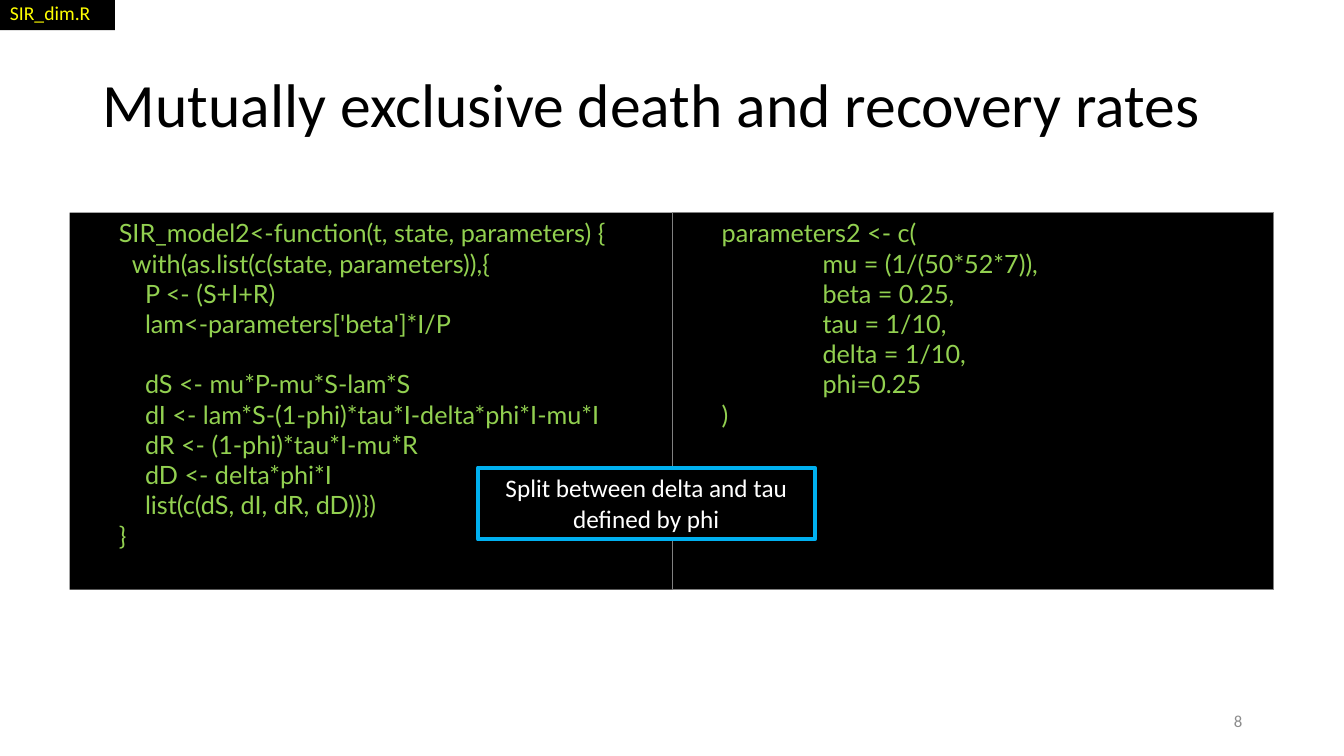
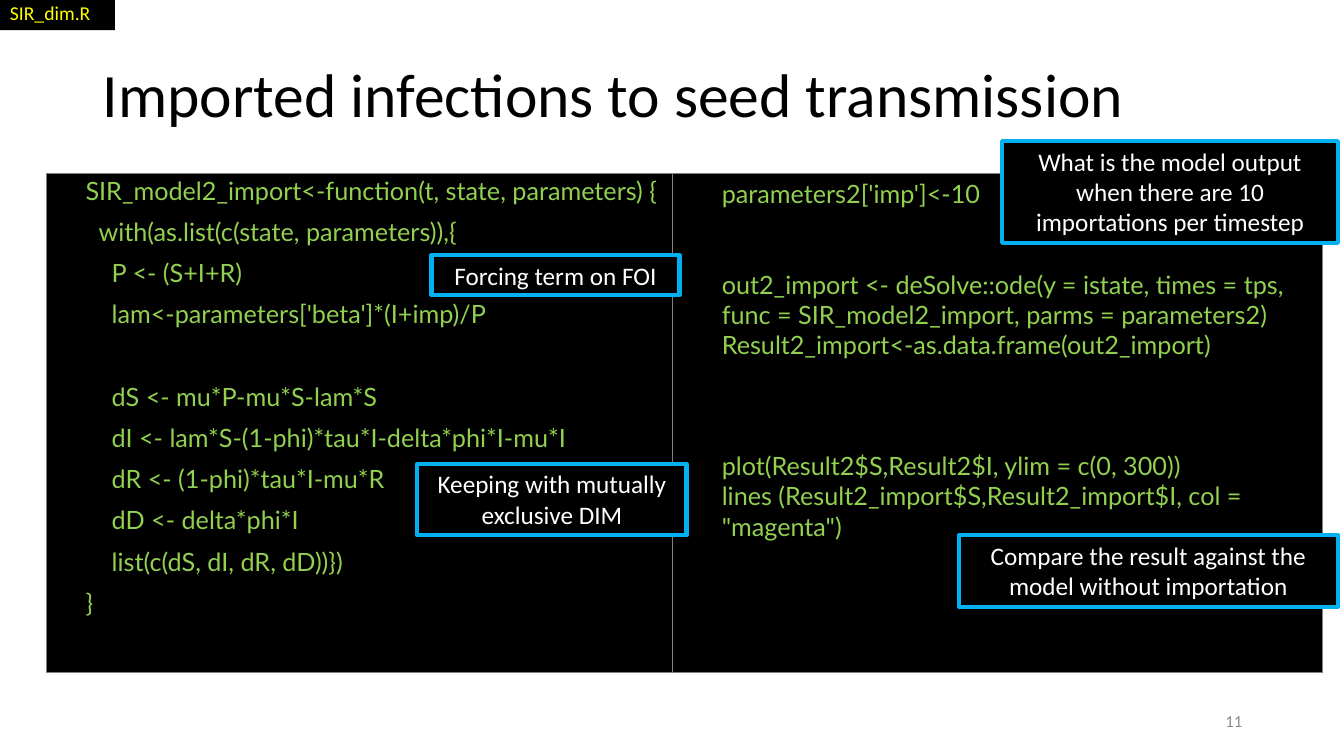
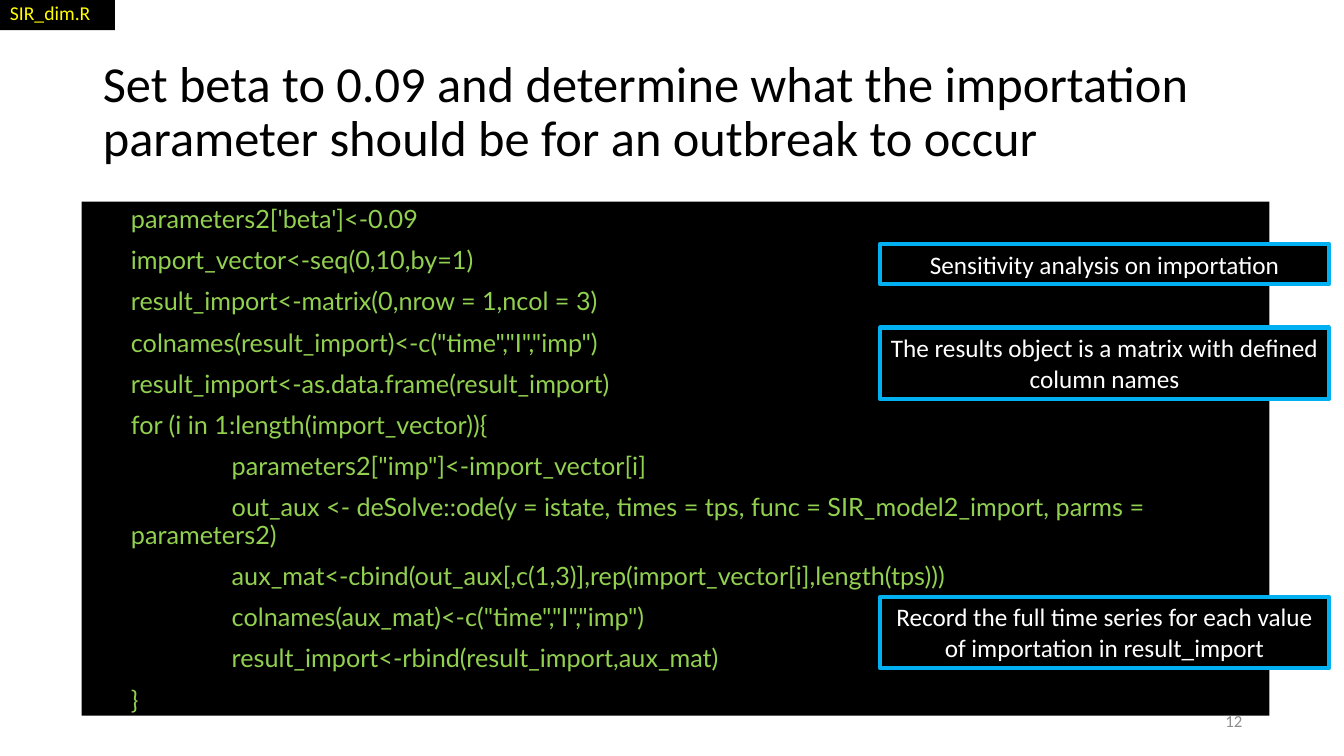
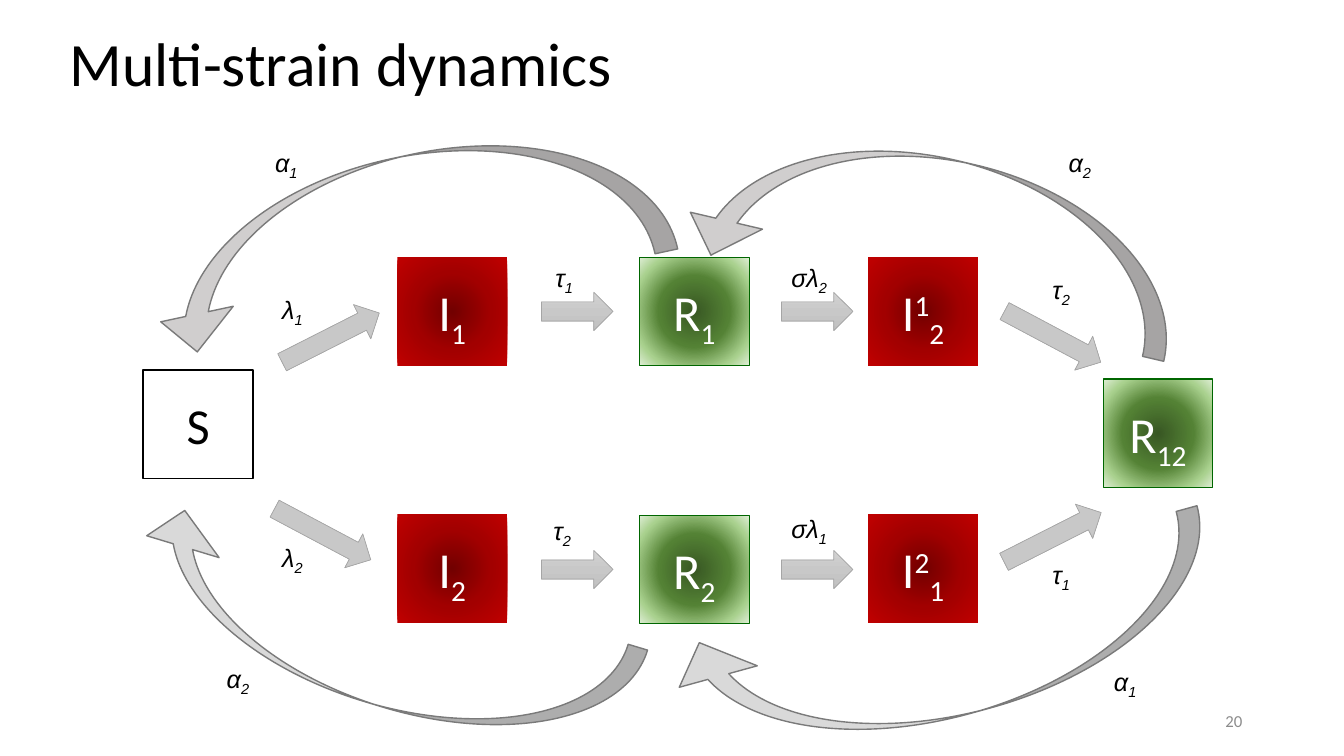
"""Build four slides on SIR model code and multi-strain dynamics."""
import pptx
import pptx.util
import pptx.dml.color
import pptx.enum.shapes
import pptx.enum.text
import pptx.oxml
import pptx.oxml.ns

Pt = pptx.util.Pt
KIND = pptx.enum.shapes.MSO_SHAPE
ALIGN = pptx.enum.text.PP_ALIGN
ANCHOR = pptx.enum.text.MSO_ANCHOR
FIT = pptx.enum.text.MSO_AUTO_SIZE
PX = 9144

HUES = {
    "black": "000000", "white": "FFFFFF", "code": "92D050", "tag": "FFFF00",
    "sky": "00B0F0", "rule": "808080", "page": "8C8C8C", "leaf": "006600",
    "steel": "A5A5A5", "bend": "7A7A7A", "low": "D9D9D9", "high": "D0CECE",
}
BLENDS = {
    "red": [(0, "720000"), (50, "A20000"), (100, "C00000")],
    "green": [(0, "385723"), (46, "548235"), (79, "A9D18E"), (100, "E2F0D9")],
    "grey": [(0, "D2D2D2"), (50, "C8C8C8"), (100, "C0C0C0")],
}
PATHS = {
    "red": '<a:path path="circle"><a:fillToRect l="50000" t="50000" r="50000" b="50000"/></a:path>',
    "grey": '<a:lin ang="5400000" scaled="0"/>',
}
PATHS["green"] = PATHS["red"]

CODE = {"font": {"name": "Lato", "size": Pt(18)}, "hue": "code", "left": 39, "pitch": 21.6}
LOOSE = CODE | {"para": {"line_spacing": 0.9}, "gap": 10, "pitch": 29.4}
TITLE = {"font": {"name": "Calibri", "size": Pt(44)}, "hue": "black",
         "para": {"line_spacing": 0.9, "alignment": ALIGN.LEFT},
         "frame": {"vertical_anchor": ANCHOR.MIDDLE}}
TAG = {"font": {"name": "Calibri", "size": Pt(14)}, "hue": "tag"}
NOTE = {"font": {"name": "Calibri", "size": Pt(18)}, "hue": "white",
        "para": {"alignment": ALIGN.CENTER}}
PAGE = {"font": {"name": "Calibri", "size": Pt(12)}, "hue": "page",
        "para": {"alignment": ALIGN.RIGHT}, "frame": {"vertical_anchor": ANCHOR.MIDDLE}}
NODE = {"font": {"name": "Calibri", "size": Pt(36)}, "hue": "white", "marks": True,
        "para": {"alignment": ALIGN.CENTER}, "frame": {"margin_top": 24 * PX}}
RATE = {"font": {"name": "Arial", "size": Pt(18), "italic": True}, "hue": "black", "marks": True}


def write(frame, text, look):
    """Fill a frame; leading spaces indent a line and blank lines open a gap."""
    base = {"word_wrap": True, "auto_size": FIT.NONE, "vertical_anchor": ANCHOR.TOP}
    for key, val in (base | look.get("frame", {})).items():
        setattr(frame, key, val)
    blanks, para = 0, None
    for row in text.split("\n"):
        if not row:
            blanks += 1
            continue
        first = para is None
        para = frame.paragraphs[0] if first else frame.add_paragraph()
        form = {"alignment": ALIGN.LEFT} | look.get("para", {})
        form["space_before"] = Pt(0 if first else look.get("gap", 0) + blanks * look.get("pitch", 0))
        for key, val in form.items():
            setattr(para, key, val)
        blanks = 0
        body = row.lstrip(" ")
        depth = (len(row) - len(body)) // 2
        props = para._p.get_or_add_pPr()
        props.set("marL", str(look.get("left", 0) * PX))
        props.set("indent", str(depth * look.get("step", 13) * PX))
        parts = [body]
        if look.get("marks"):
            parts = body.replace("^", "|^").replace("_", "|_").split("|")
        for part in parts:
            shift = {"^": "30000", "_": "-25000"}.get(part[0]) if look.get("marks") else None
            run = para.add_run()
            run.text = part[1:] if shift else part
            for key, val in look["font"].items():
                setattr(run.font, key, val)
            run.font.color.rgb = pptx.dml.color.RGBColor.from_string(HUES[look["hue"]])
            if shift:
                run._r.get_or_add_rPr().set("baseline", shift)


def draw(page, kind, spot, fill, edge=None, width=0.75, turn=0):
    """Add a preset shape with a plain or blended fill and an optional edge."""
    shape = page.shapes.add_shape(kind, *[n * PX for n in spot])
    shape.shadow.inherit = False
    shape.rotation = turn
    shape.fill.solid()
    if fill in BLENDS:
        stops = "".join(f'<a:gs pos="{at * 1000}"><a:srgbClr val="{hue}"/></a:gs>'
                        for at, hue in BLENDS[fill])
        space = pptx.oxml.ns.nsdecls("a")
        blend = pptx.oxml.parse_xml(
            f'<a:gradFill {space} rotWithShape="1"><a:gsLst>{stops}</a:gsLst>{PATHS[fill]}</a:gradFill>')
        props = shape._element.spPr
        props.replace(props.find(pptx.oxml.ns.qn("a:solidFill")), blend)
    else:
        shape.fill.fore_color.rgb = pptx.dml.color.RGBColor.from_string(HUES[fill])
    if edge:
        shape.line.color.rgb = pptx.dml.color.RGBColor.from_string(HUES[edge])
        shape.line.width = Pt(width)
    else:
        shape.line.fill.background()
    return shape


MODEL = """SIR_model2<-function(t, state, parameters) {
  with(as.list(c(state, parameters)),{
    P <- (S+I+R)
    lam<-parameters['beta']*I/P

    dS <- mu*P-mu*S-lam*S
    dI <- lam*S-(1-phi)*tau*I-delta*phi*I-mu*I
    dR <- (1-phi)*tau*I-mu*R
    dD <- delta*phi*I
    list(c(dS, dI, dR, dD))})
}"""
IMPORT = MODEL.replace("SIR_model2", "SIR_model2_import").replace("*I/P", "*(I+imp)/P")
VALUES = """parameters2 <- c(
  mu = (1/(50*52*7)),
  beta = 0.25,
  tau = 1/10,
  delta = 1/10,
  phi=0.25
)"""
SOLVE = """parameters2['imp']<-10


out2_import <- deSolve::ode(y = istate, times = tps, func = SIR_model2_import, parms = parameters2)
Result2_import<-as.data.frame(out2_import)



plot(Result2$S,Result2$I, ylim = c(0, 300))
lines (Result2_import$S,Result2_import$I, col = "magenta")"""
SWEEP = """parameters2['beta']<-0.09
import_vector<-seq(0,10,by=1)
result_import<-matrix(0,nrow = 1,ncol = 3)
colnames(result_import)<-c("time","I","imp")
result_import<-as.data.frame(result_import)
for (i in 1:length(import_vector)){
  parameters2["imp"]<-import_vector[i]
  out_aux <- deSolve::ode(y = istate, times = tps, func = SIR_model2_import, parms = parameters2)
  aux_mat<-cbind(out_aux[,c(1,3)],rep(import_vector[i],length(tps)))
  colnames(aux_mat)<-c("time","I","imp")
  result_import<-rbind(result_import,aux_mat)
}"""

DECK = [
    {"title": "Mutually exclusive death and recovery rates", "spot": (92, 34), "page": "8",
     "code": [((69, 211, 667, 374), None, MODEL, CODE),
              ((667, 211, 596, 374), "rule", VALUES, CODE | {"step": 100})],
     "notes": [((474, 464, 334, 71), "Split between delta and tau defined by phi")]},
    {"title": "Imported infections to seed transmission", "spot": (92, 24), "page": "11",
     "code": [((46, 172, 667, 495), "rule", IMPORT, LOOSE | {"left": 29}),
              ((667, 172, 645, 495), "rule", SOLVE, CODE)],
     "notes": [((428, 253, 246, 40), "Forcing term on FOI"),
               ((414, 460, 267, 71), "Keeping with mutually exclusive DIM"),
               ((994, 140, 333, 101), "What is the model output when there are 10 importations per timestep"),
               ((951, 531, 376, 71), "Compare the result against the model without importation")]},
    {"title": "Set beta to 0.09 and determine what the importation parameter should be for an outbreak to occur",
     "spot": (92, 40), "size": 36, "page": "12",
     "code": [((81, 200, 1178, 510), None, SWEEP, LOOSE | {"step": 100})],
     "notes": [((873, 242, 445, 40), "Sensitivity analysis on importation"),
               ((873, 325, 445, 71), "The results object is a matrix with defined column names"),
               ((873, 592, 445, 71),
                "Record the full time series for each value of importation in result_import")]},
    {"title": "Multi-strain dynamics", "spot": (59, -6), "page": "20", "code": [], "notes": []},
]

deck = pptx.Presentation()
deck.slide_width, deck.slide_height = 1333 * PX, 750 * PX

for item in DECK:
    page = deck.slides.add_slide(deck.slide_layouts[5])
    title = page.shapes.title
    place = zip(("left", "top", "width", "height"), (*item["spot"], 1150, 145))
    for key, val in place:
        setattr(title, key, val * PX)
    font = TITLE["font"] | {"size": Pt(item.get("size", 44))}
    write(title.text_frame, item["title"], TITLE | {"font": font})
    for spot, edge, text, look in item["code"]:
        write(draw(page, KIND.RECTANGLE, spot, "black", edge).text_frame, text, look)
    if item["code"]:
        tag = draw(page, KIND.RECTANGLE, (0, -4, 114, 34), "black")
        write(tag.text_frame, "SIR_dim.R", TAG)
    for spot, text in item["notes"]:
        note = draw(page, KIND.RECTANGLE, spot, "black", "sky", 3)
        write(note.text_frame, text, NOTE)
    foot = page.shapes.add_textbox(942 * PX, 695 * PX, 300 * PX, 40 * PX)
    write(foot.text_frame, item["page"], PAGE)

NODES = [
    (142, 367, "S", "white", "black", 1),
    (394, 255, "I_1", "red", None, 0), (394, 510, "I_2", "red", None, 0),
    (634, 255, "R_1", "green", "leaf", 0.75), (634, 511, "R_2", "green", "leaf", 0.75),
    (861, 255, "I^1_2", "red", None, 0), (861, 510, "I^2_1", "red", None, 0),
    (1094, 376, "R_12", "green", "leaf", 0.75),
]
for left, top, text, fill, edge, width in NODES:
    node = draw(page, KIND.RECTANGLE, (left, top, 109, 108), fill, edge, width)
    hue = "black" if fill == "white" else "white"
    write(node.text_frame, text, NODE | {"hue": hue})

steps = [(left, top, 71, 0) for top in (290, 546) for left in (537, 775)]
steps += [(274, 316, 108, 333.1), (266, 511, 108, 28),
          (990, 315, 108, 28), (990, 514, 108, 333.1)]
for left, top, width, turn in steps:
    draw(page, KIND.RIGHT_ARROW, (left, top, width, 38), "grey", "steel", 0.5, turn)

BENDS = [
    (KIND.CURVED_LEFT_ARROW, (311, 374, 130, 517), 106.8, "low", (0.154, 0.577, 0.269)),
    (KIND.CURVED_LEFT_ARROW, (870, 366, 139, 552), 74.6, "low", (0.154, 0.577, 0.269)),
    (KIND.CURVED_RIGHT_ARROW, (327, -32, 147, 524), 77.9, "high", (0.156, 0.5, 0.25)),
    (KIND.CURVED_RIGHT_ARROW, (855, -19, 147, 498), 103.2, "high", (0.147, 0.5, 0.25)),
]
for kind, spot, turn, fill, curve in BENDS:
    bend = draw(page, kind, spot, fill, "bend", 1, turn)
    for slot, val in enumerate(curve):
        bend.adjustments[slot] = val

RATES = [
    (270, 287, "λ_1"), (270, 533, "λ_2"), (541, 255, "τ_1"), (539, 506, "τ_2"),
    (775, 255, "σλ_2"), (775, 504, "σλ_1"), (1034, 267, "τ_2"), (1034, 550, "τ_1"),
    (263, 141, "α_1"), (1050, 141, "α_2"), (215, 653, "α_2"), (1095, 656, "α_1"),
]
for left, top, text in RATES:
    rate = page.shapes.add_textbox(left * PX, top * PX, 84 * PX, 41 * PX)
    write(rate.text_frame, text, RATE)

deck.save("out.pptx")
